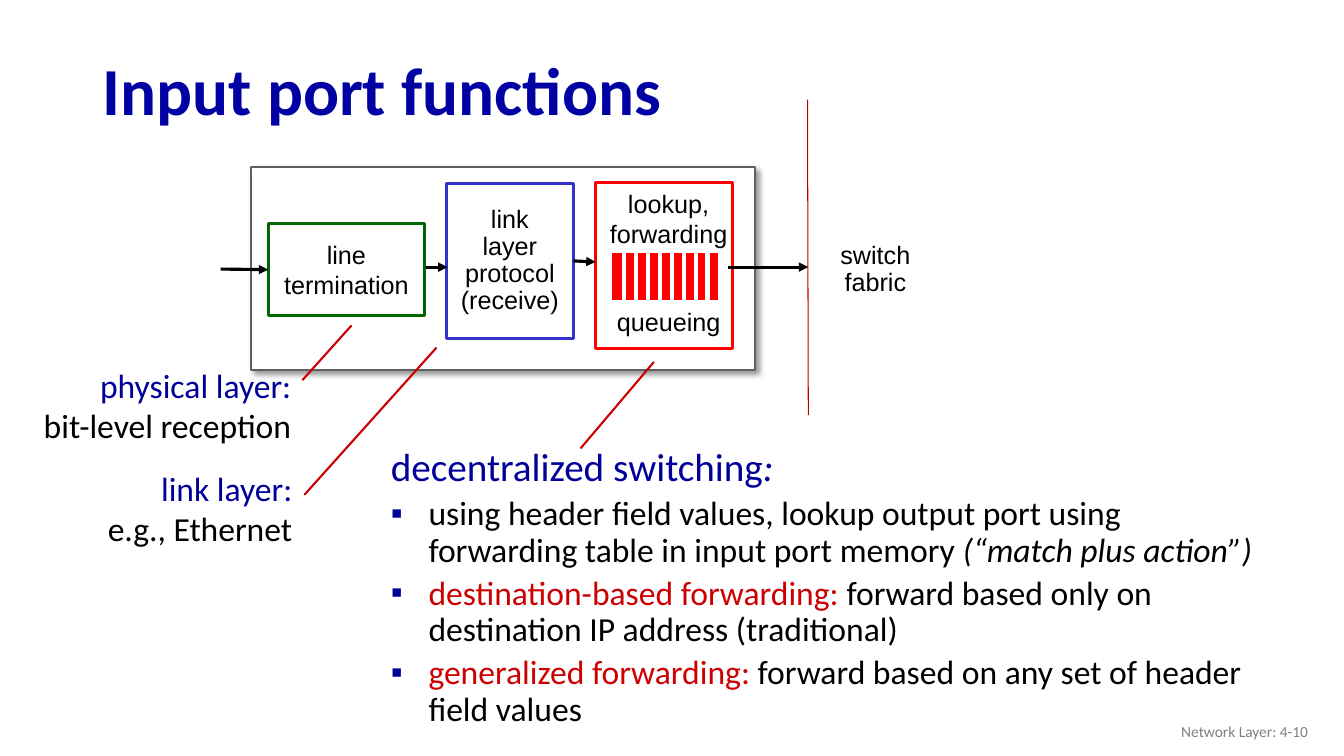
from lxml import etree
from pptx import Presentation
from pptx import util as u
from pptx.dml.color import RGBColor
from pptx.enum import shapes, text
from pptx.oxml import ns

WHITE = RGBColor(0xFF, 0xFF, 0xFF)
BLACK = RGBColor(0x00, 0x00, 0x00)
GRAY = RGBColor(0x5F, 0x5F, 0x5F)
FOOTER_GRAY = RGBColor(0x80, 0x80, 0x80)
TITLE_BLUE = RGBColor(0x00, 0x00, 0xA3)
NAVY = RGBColor(0x00, 0x00, 0x99)
BLUE = RGBColor(0x33, 0x33, 0xCC)
GREEN = RGBColor(0x00, 0x66, 0x00)
RED = RGBColor(0xFF, 0x00, 0x00)
DARK_RED = RGBColor(0xCC, 0x00, 0x00)
FABRIC_RED = RGBColor(0xC0, 0x00, 0x00)

LEFT, CENTER, RIGHT = text.PP_ALIGN.LEFT, text.PP_ALIGN.CENTER, text.PP_ALIGN.RIGHT
TOP, MIDDLE = text.MSO_ANCHOR.TOP, text.MSO_ANCHOR.MIDDLE


def lengths(*values):
    return [u.Cm(value) for value in values]


def child(parent, tag, **attributes):
    return etree.SubElement(parent, ns.qn(tag), attributes)


def add_run(paragraph, words, size, color, font="Calibri", bold=False, italic=False):
    run = paragraph.add_run()
    run.text = words
    run.font.size = u.Pt(size)
    run.font.name = font
    run.font.color.rgb = color
    run.font.bold = bold
    run.font.italic = italic


def next_paragraph(frame):
    first = frame.paragraphs[0]
    return first if not first.runs else frame.add_paragraph()


def write_lines(shape, lines, size, font="Calibri", align=CENTER, anchor=MIDDLE,
                spacing=1.0, bold=False, wrap=False):
    frame = shape.text_frame
    frame.word_wrap = wrap
    frame.vertical_anchor = anchor
    for words, color in lines:
        paragraph = next_paragraph(frame)
        paragraph.alignment = align
        paragraph.line_spacing = spacing
        add_run(paragraph, words, size, color, font, bold)


def add_textbox(slide, place, lines, size, **options):
    textbox = slide.shapes.add_textbox(*lengths(*place))
    write_lines(textbox, lines, size, **options)
    return textbox


def add_box(parent, place, fill=None, line=None, width=2.25):
    box = parent.shapes.add_shape(shapes.MSO_SHAPE.RECTANGLE, *lengths(*place))
    box.shadow.inherit = False
    if fill is None:
        box.fill.background()
    else:
        box.fill.solid()
        box.fill.fore_color.rgb = fill
    if line is None:
        box.line.fill.background()
    else:
        box.line.color.rgb = line
        box.line.width = u.Pt(width)
    return box


def add_label_box(slide, place, words, line=None, fill=WHITE, spacing=1.0):
    box = add_box(slide, place, fill, line)
    write_lines(box, [(word, BLACK) for word in words], 18, font="Arial", spacing=spacing)
    return box


def add_drop_shadow(shape):
    effects = shape._element.spPr.find(ns.qn("a:effectLst"))
    shadow = child(effects, "a:outerShdw", blurRad=str(u.Pt(4)), dist=str(u.Pt(3)),
                   dir="2700000", algn="tl", rotWithShape="0")
    color = child(shadow, "a:srgbClr", val="000000")
    child(color, "a:alpha", val="40000")


def add_line(parent, points, color, width):
    line = parent.shapes.add_connector(shapes.MSO_CONNECTOR.STRAIGHT, *lengths(*points))
    line.line.color.rgb = color
    line.line.width = u.Pt(width)
    child(line._element.spPr, "a:effectLst")
    return line


def add_arrow(slide, points):
    arrow = add_line(slide, points, BLACK, 2.25)
    child(arrow.line._get_or_add_ln(), "a:tailEnd", type="triangle")
    return arrow


def add_queue(slide):
    queue = slide.shapes.add_group_shape()
    add_box(queue, (15.37, 6.32, 2.77, 1.3), RED, WHITE, 3)
    for slot in range(8):
        x = 15.73 + 0.3 * slot
        add_line(queue, (x, 6.35, x, 7.6), WHITE, 3)


def add_layer_note(slide, place, heading, detail):
    add_textbox(slide, place, [(heading, NAVY), (detail, BLACK)], 24,
                align=RIGHT, anchor=TOP)


def add_bullet(frame, runs):
    paragraph = frame.add_paragraph()
    paragraph.line_spacing = 0.9
    paragraph.space_before = u.Pt(5)
    properties = paragraph._p.get_or_add_pPr()
    properties.set("marL", str(u.Cm(0.95)))
    properties.set("indent", str(-u.Cm(0.95)))
    child(child(properties, "a:buClr"), "a:srgbClr", val=str(NAVY))
    child(properties, "a:buFont", typeface="Arial")
    child(properties, "a:buChar", char="▪")
    for words, color, italic in runs:
        add_run(paragraph, words, 24, color, italic=italic)


def add_switching_notes(slide):
    notes = add_textbox(slide, (9.6, 11.15, 22.76, 7.42), [("decentralized switching", NAVY)],
                        28, align=LEFT, anchor=TOP, spacing=0.9, wrap=True)
    frame = notes.text_frame
    add_run(frame.paragraphs[0], ":", 28, NAVY, italic=True)
    add_bullet(frame, [("using header field values, lookup output port using forwarding "
                        "table in input port memory ", BLACK, False),
                       ("(“match plus action”)", BLACK, True)])
    add_bullet(frame, [("destination-based forwarding: ", DARK_RED, False),
                       ("forward based only on destination IP address (traditional)",
                        BLACK, False)])
    add_bullet(frame, [("generalized forwarding: ", DARK_RED, False),
                       ("forward based on any set of header field values", BLACK, False)])


def add_input_port(slide):
    port = add_box(slide, (6.32, 4.22, 12.7, 5.11), WHITE, GRAY, 1.5)
    add_drop_shadow(port)
    termination = add_label_box(slide, (6.76, 5.64, 3.94, 2.31), ["line", "termination"], GREEN)
    link = add_label_box(slide, (11.25, 4.62, 3.2, 3.91),
                         ["link", "layer", "protocol", "(receive)"], BLUE, None, 0.9)
    add_box(slide, (15.01, 4.6, 3.45, 4.19), WHITE, RED)
    lookup = add_textbox(slide, (15.11, 4.62, 3.48, 4.06),
                         [("lookup,", BLACK), ("forwarding", BLACK), ("queueing", BLACK)],
                         18, font="Arial", anchor=TOP)
    lookup.text_frame.paragraphs[2].space_before = u.Pt(41.4)
    add_queue(slide)
    add_label_box(slide, (20.6, 5.64, 2.92, 2.31), ["switch", "fabric"], spacing=0.9)
    add_line(slide, (20.35, 2.51, 20.37, 10.46), FABRIC_RED, 0.75)

    add_arrow(slide, (5.56, 6.78, 6.73, 6.78)).end_connect(termination, 1)
    add_arrow(slide, (10.74, 6.73, 11.28, 6.73))
    add_arrow(slide, (14.48, 6.6, 15.01, 6.6)).begin_connect(link, 3)
    add_arrow(slide, (18.34, 6.73, 20.37, 6.73))


def main():
    presentation = Presentation()
    presentation.slide_width, presentation.slide_height = lengths(33.87, 19.05)
    slide = presentation.slides.add_slide(presentation.slide_layouts[6])
    add_textbox(slide, (2.34, 1.12, 29.21, 2.49), [("Input port functions", TITLE_BLUE)], 48,
                align=LEFT, spacing=0.9, bold=True, wrap=True)
    add_input_port(slide)
    add_switching_notes(slide)
    add_layer_note(slide, (0.71, 9.07, 6.88, 2.31), "physical layer:", "bit-level reception")
    add_layer_note(slide, (2.41, 11.66, 5.21, 2.31), "link layer:", "e.g., Ethernet")
    for callout in [(7.62, 9.58, 8.86, 8.2), (14.63, 11.3, 16.48, 9.12), (7.67, 12.47, 11, 8.76)]:
        add_line(slide, callout, DARK_RED, 1.5)
    add_textbox(slide, (25.6, 17.91, 7.62, 1.02), [("Network Layer: 4-10", FOOTER_GRAY)], 11,
                align=RIGHT, wrap=True)
    presentation.save("out.pptx")


if __name__ == "__main__":
    main()
